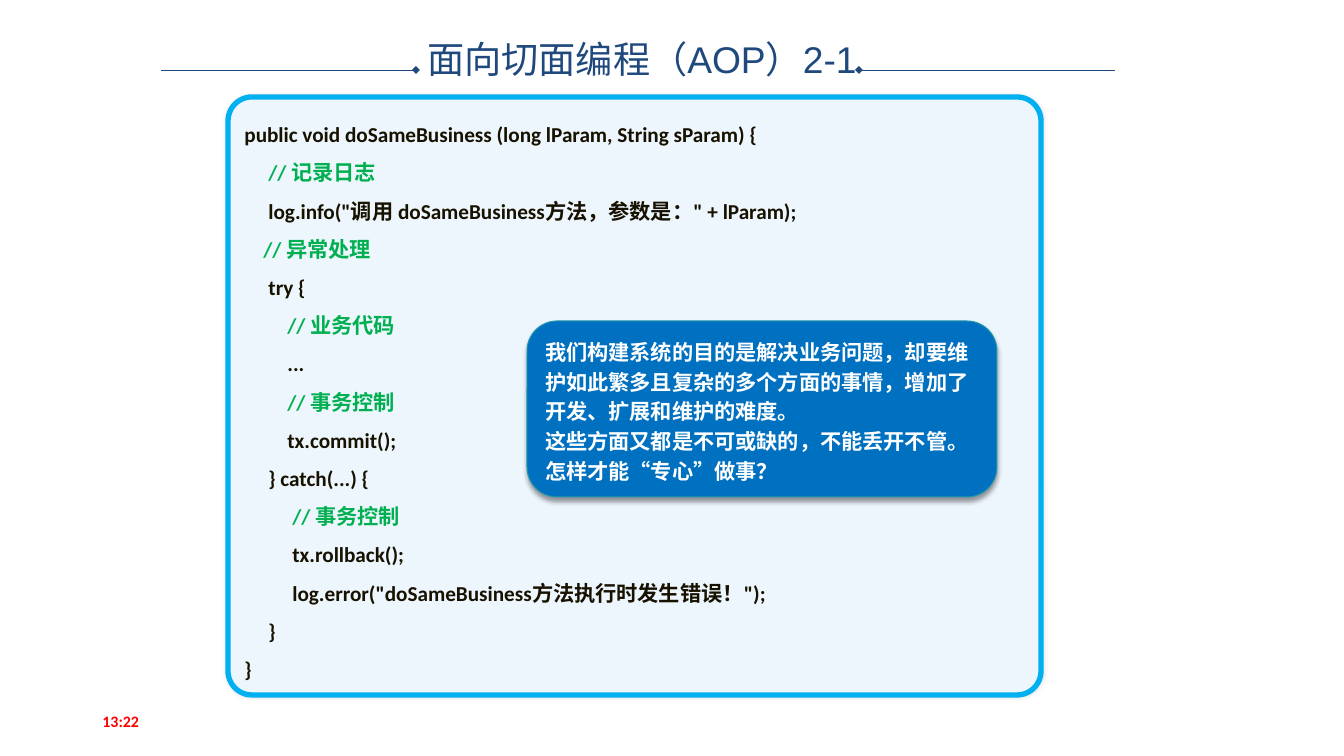
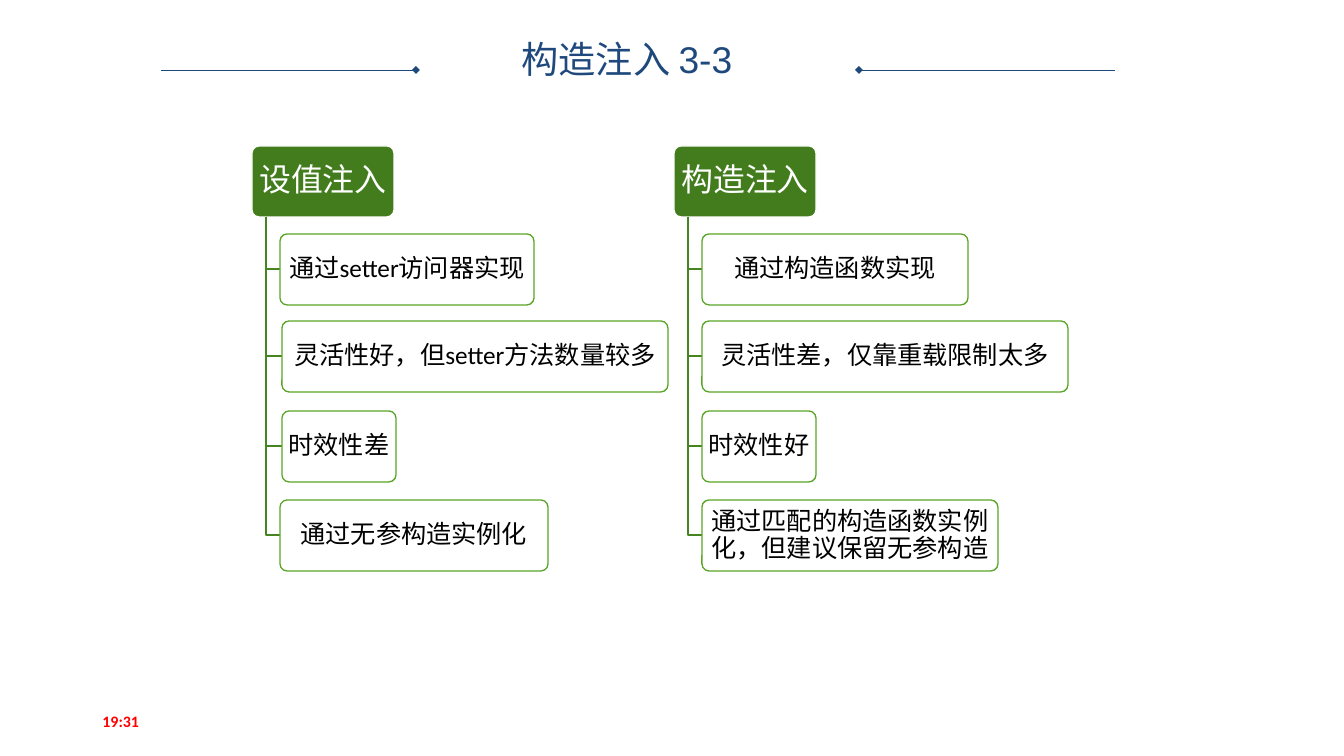
from dataclasses import dataclass
from typing import Optional

from lxml import etree
from pptx import Presentation
from pptx import util as u
from pptx.dml.color import RGBColor
from pptx.enum import shapes, text
from pptx.oxml.ns import qn

PX = 914400 / 95.6
NAVY, RED, WHITE, BLACK = "1F497D", "FF0000", "FFFFFF", "000000"
INK, COMMENT = "171100", "00B050"
HEAD_GREEN, BOX_GREEN, LINK_GREEN = "427C1D", "58A527", "46841F"
HEAD_TOP, BOX_H, ROW_TOPS = 146, 71, (234, 321, 411, 500)
TRUNK_DX = 14


@dataclass(frozen=True)
class Box:
    x: int
    y: int
    w: int
    h: int


@dataclass(frozen=True)
class Shadow:
    alpha: int
    blur: float
    dist: float
    angle: int


@dataclass(frozen=True)
class CodeLine:
    indent: int
    words: str
    color: str = INK


@dataclass(frozen=True)
class Node:
    words: str
    w: int
    dx: int = 28


@dataclass(frozen=True)
class Column:
    x: int
    heading: str
    nodes: tuple[Node, ...]


CODE = (
    CodeLine(0, "public void doSameBusiness (long lParam, String sParam) {"),
    CodeLine(24, "// 记录日志", COMMENT),
    CodeLine(24, 'log.info("调用 doSameBusiness方法，参数是：" + lParam);'),
    CodeLine(19, "// 异常处理", COMMENT),
    CodeLine(24, "try {"),
    CodeLine(43, "// 业务代码", COMMENT),
    CodeLine(43, "..."),
    CodeLine(43, "// 事务控制", COMMENT),
    CodeLine(43, "tx.commit();"),
    CodeLine(24, "} catch(...) {"),
    CodeLine(48, "// 事务控制", COMMENT),
    CodeLine(48, "tx.rollback();"),
    CodeLine(48, 'log.error("doSameBusiness方法执行时发生错误！");'),
    CodeLine(24, "}"),
    CodeLine(0, "}"),
)
REMARKS = (
    "我们构建系统的目的是解决业务问题，却要维",
    "护如此繁多且复杂的多个方面的事情，增加了",
    "开发、扩展和维护的难度。",
    "这些方面又都是不可或缺的，不能丢开不管。",
    "怎样才能“专心”做事？",
)
COLUMNS = (
    Column(252, "设值注入", (
        Node("通过setter访问器实现", 254),
        Node("灵活性好，但setter方法数量较多", 386, 30),
        Node("时效性差", 114, 30),
        Node("通过无参构造实例化", 268),
    )),
    Column(674, "构造注入", (
        Node("通过构造函数实现", 266),
        Node("灵活性差，仅靠重载限制太多", 366),
        Node("时效性好", 114),
        Node("通过匹配的构造函数实例化，但建议保留无参构造", 296),
    )),
)


def px(n: float) -> int:
    return round(n * PX)


def rgb(value: str) -> RGBColor:
    return RGBColor.from_string(value)


def place(b: Box) -> tuple[int, int, int, int]:
    return px(b.x), px(b.y), px(b.w), px(b.h)


def write(tf, words: str, *, size: float, color: str, font: str = "Calibri",
          bold: bool = False, center: bool = False, spacing: Optional[float] = None,
          before: float = 0, indent: int = 0) -> None:
    p = tf.paragraphs[-1]
    if p.runs:
        p = tf.add_paragraph()
    p.alignment = text.PP_ALIGN.CENTER if center else text.PP_ALIGN.LEFT
    p.space_before = u.Pt(before)
    if spacing:
        p.line_spacing = spacing
    if indent:
        p._p.get_or_add_pPr().set("marL", str(px(indent)))
    r = p.add_run()
    r.text = words
    r.font.size, r.font.name, r.font.bold = u.Pt(size), font, bold
    r.font.color.rgb = rgb(color)


def textbox(s, b: Box):
    tf = s.shapes.add_textbox(*place(b)).text_frame
    tf.word_wrap = True
    tf.vertical_anchor = text.MSO_ANCHOR.MIDDLE
    return tf


def rounded(s, b: Box, *, fill: str, line: str, width: float, radius: float,
            alpha: int = 100, shadow: Optional[Shadow] = None,
            inset: Optional[int] = None, anchor=text.MSO_ANCHOR.MIDDLE):
    sp = s.shapes.add_shape(shapes.MSO_SHAPE.ROUNDED_RECTANGLE, *place(b))
    sp.adjustments[0] = radius
    sp.shadow.inherit = False
    sp.fill.solid()
    sp.fill.fore_color.rgb = rgb(fill)
    sp.line.color.rgb = rgb(line)
    sp.line.width = u.Pt(width)
    spPr = sp._element.spPr
    if alpha < 100:
        clr = spPr.find(qn("a:solidFill")).find(qn("a:srgbClr"))
        etree.SubElement(clr, qn("a:alpha"), val=str(alpha * 1000))
    if shadow:
        outer = etree.SubElement(
            spPr.find(qn("a:effectLst")), qn("a:outerShdw"),
            blurRad=str(u.Pt(shadow.blur)), dist=str(u.Pt(shadow.dist)),
            dir=str(shadow.angle * 60000), rotWithShape="0")
        clr = etree.SubElement(outer, qn("a:srgbClr"), val=BLACK)
        etree.SubElement(clr, qn("a:alpha"), val=str(shadow.alpha * 1000))
    tf = sp.text_frame
    tf.word_wrap = True
    tf.vertical_anchor = anchor
    if inset is not None:
        tf.margin_left = tf.margin_right = px(inset)
        tf.margin_top = tf.margin_bottom = px(3)
    return tf


def title_rule(s, x1: int, x2: int) -> None:
    ln = s.shapes.add_connector(shapes.MSO_CONNECTOR.STRAIGHT,
                                px(x1), px(70), px(x2), px(70))
    ln.line.color.rgb = rgb(NAVY)
    ln.line.width = u.Pt(0.25)
    etree.SubElement(ln.line._get_or_add_ln(), qn("a:headEnd"), type="diamond")
    etree.SubElement(ln._element.spPr, qn("a:effectLst"))


def base_slide(prs, title: str, title_x: int, time: str):
    s = prs.slides.add_slide(prs.slide_layouts[6])
    title_rule(s, 416, 161)
    title_rule(s, 859, 1115)
    write(textbox(s, Box(title_x, 39, 586, 45)), title, size=28, color=NAVY,
          font="Arial", center=True, spacing=0.9, before=10)
    write(textbox(s, Box(93, 701, 302, 40)), time, size=12, color=RED, bold=True)
    return s


def elbow(s, x1: int, y1: int, x2: int, y2: int) -> None:
    fb = s.shapes.build_freeform(x1, y1, scale=PX)
    fb.add_line_segments([(x1, y2), (x2, y2)], close=False)
    sp = fb.convert_to_shape()
    sp.shadow.inherit = False
    sp.fill.background()
    sp.line.color.rgb = rgb(LINK_GREEN)
    sp.line.width = u.Pt(1)


def draw_column(s, col: Column) -> None:
    tf = rounded(s, Box(col.x, HEAD_TOP, 142, BOX_H), fill=HEAD_GREEN, line=WHITE,
                 width=1, radius=0.1, inset=4)
    write(tf, col.heading, size=24, color=WHITE, center=True, spacing=0.9)
    for node, top in zip(col.nodes, ROW_TOPS):
        left = col.x + node.dx
        elbow(s, col.x + TRUNK_DX, HEAD_TOP + BOX_H, left, top + BOX_H // 2)
        tf = rounded(s, Box(left, top, node.w, BOX_H), fill=WHITE, line=BOX_GREEN,
                     width=1, radius=0.1, alpha=90, inset=3)
        write(tf, node.words, size=19, color=BLACK, center=True, spacing=0.9)


def aop_slide(prs) -> None:
    s = base_slide(prs, "面向切面编程（AOP）2-1", 349, "13:22")
    code = rounded(s, Box(228, 97, 813, 598), fill="EDF5FD", line="00B0F0", width=4,
                   radius=0.04, shadow=Shadow(10, 3, 0, 0), anchor=text.MSO_ANCHOR.TOP)
    for line in CODE:
        write(code, line.words, size=16, color=line.color, bold=True, spacing=1.5,
              indent=line.indent)
    remark = rounded(s, Box(527, 321, 470, 176), fill="0070C0", line="2598AA",
                     width=0.75, radius=0.17, shadow=Shadow(40, 4, 3, 90),
                     anchor=text.MSO_ANCHOR.BOTTOM)
    for words in REMARKS:
        write(remark, words, size=16, color=WHITE, font="Arial", bold=True, before=3.2)


def injection_slide(prs) -> None:
    s = base_slide(prs, "构造注入 3-3", 334, "19:31")
    for col in COLUMNS:
        draw_column(s, col)


prs = Presentation()
prs.slide_width, prs.slide_height = px(1344), px(756)
aop_slide(prs)
injection_slide(prs)
prs.save("out.pptx")
